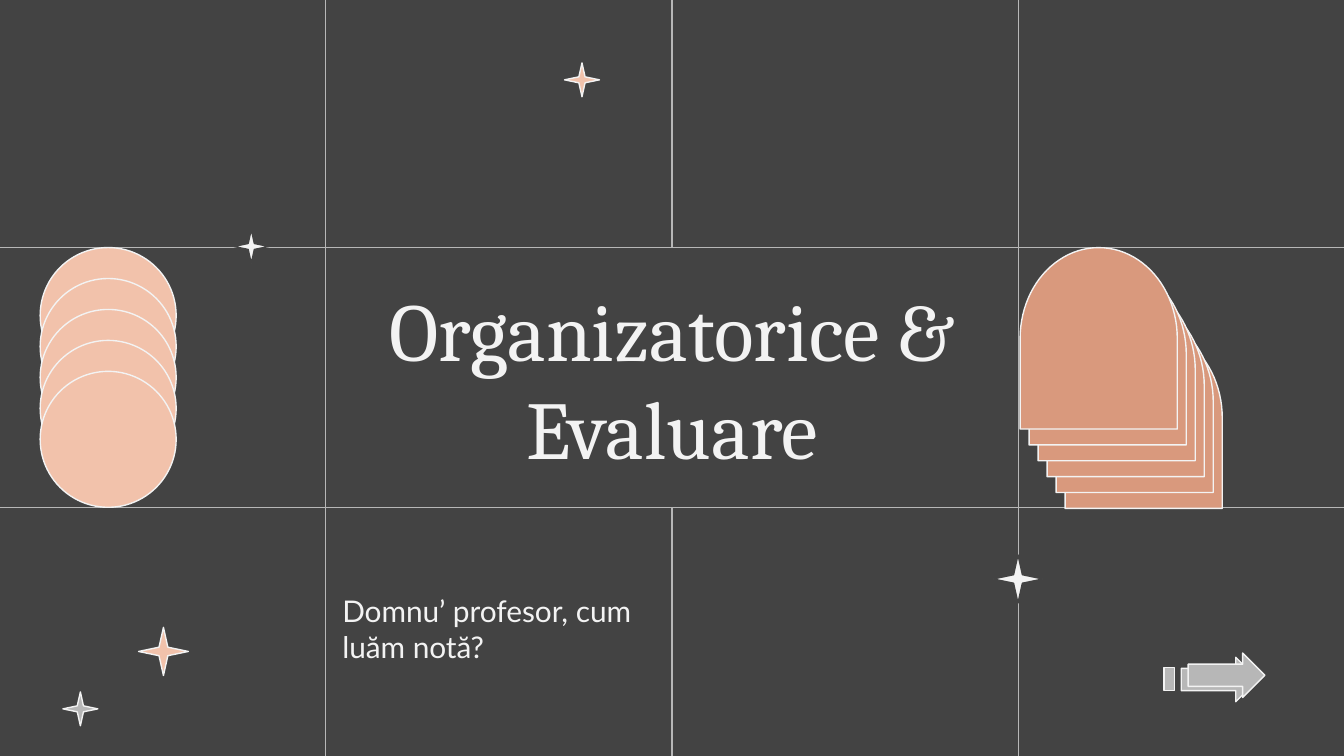
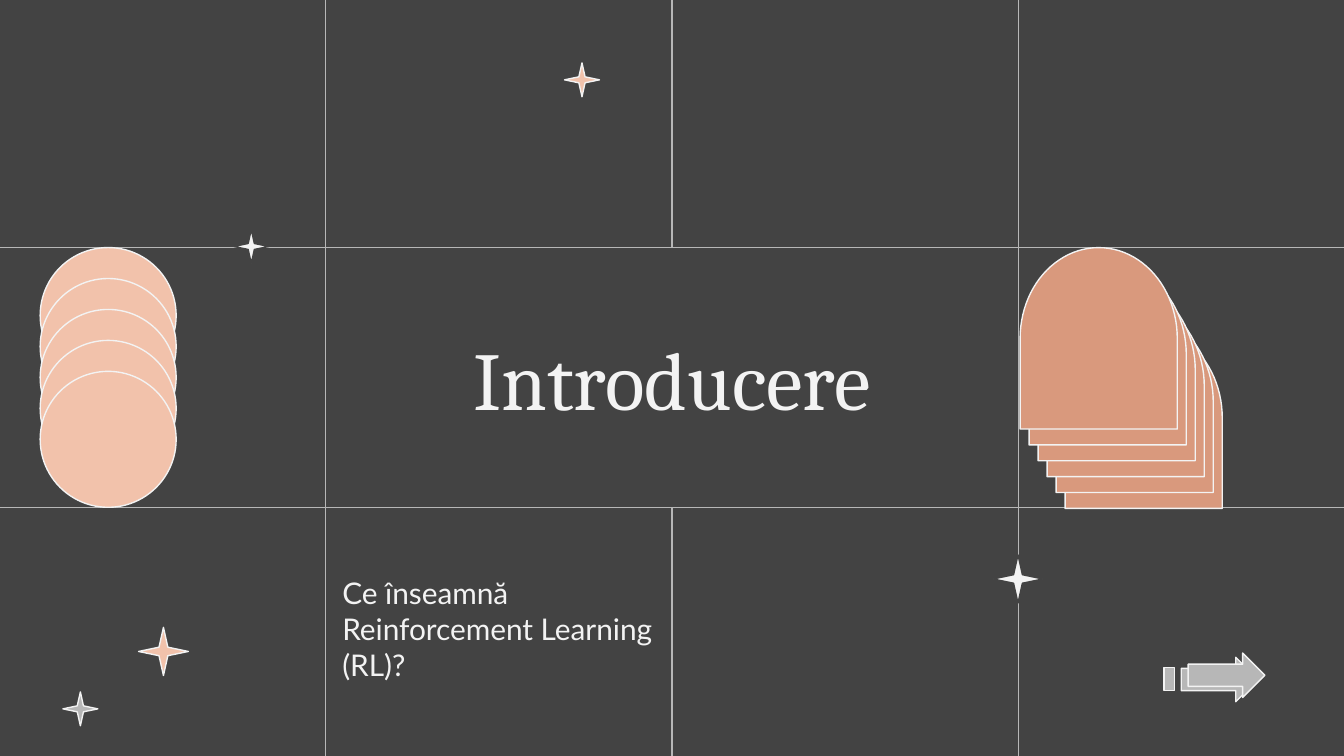
from dataclasses import dataclass

import pptx
import pptx.dml.color
import pptx.enum.shapes
import pptx.enum.text
import pptx.oxml
import pptx.oxml.ns
import pptx.util
from pptx.shapes.autoshape import Shape
from pptx.slide import Slide
from pptx.util import Cm

KIND = pptx.enum.shapes.MSO_SHAPE
ALIGN = pptx.enum.text.PP_ALIGN


# Colours and type
@dataclass(frozen=True)
class Theme:
    dark: str = "434343"
    grey: str = "B7B7B7"
    white: str = "F3F3F3"
    peach: str = "F2C2AB"
    clay: str = "D9997D"
    serif: str = "Cambria"
    sans: str = "Lato"
    head: int = 44
    body: int = 16
    line: float = 0.75


THEME = Theme()


# Lengths in centimetres
@dataclass(frozen=True)
class Box:
    left: float
    top: float
    width: float
    height: float

    def lengths(self) -> tuple[Cm, Cm, Cm, Cm]:
        return Cm(self.left), Cm(self.top), Cm(self.width), Cm(self.height)


@dataclass(frozen=True)
class Item:
    kind: KIND
    box: Box
    fill: str
    line: str = THEME.white
    turn: int = 0


@dataclass(frozen=True)
class Page:
    title: str
    note: str


WIDE, HIGH = 25.4, 14.29
COLS = (6.15, 12.7, 19.25)
ROWS = (4.68, 9.59)
TITLE = Box(COLS[0], ROWS[0], COLS[2] - COLS[0], ROWS[1] - ROWS[0])
NOTE = Box(6.22, 11.07, 6.38, 1.63)
INSET = 0.25


def star(left: float, top: float, fill: str, big: bool = False,
         line: str = THEME.white) -> Item:
    size = (0.94, 0.91) if big else (0.66, 0.64)
    return Item(KIND.STAR_4_POINT, Box(left, top, *size), fill, line)


def arrow(left: float, top: float) -> Item:
    return Item(KIND.UP_ARROW, Box(left, top, 0.84, 1.45), THEME.grey, turn=90)


# Decor behind the text
BACK = (
    star(2.62, 11.86, THEME.peach, big=True),
    star(1.19, 13.08, THEME.grey),
    arrow(22.63, 12.12),
    Item(KIND.RECTANGLE, Box(22, 12.62, 0.2, 0.43), THEME.grey),
    arrow(22.76, 12.04),
)

# Decor in front: stars, stacked arches, stacked discs
DISCS, DISC = 5, 2.57
DROP = (TITLE.height - DISC) / (DISCS - 1)
FRONT = (
    star(4.42, 4.34, THEME.white, line=THEME.dark),
    star(18.77, 10.49, THEME.white, big=True, line=THEME.dark),
    *(Item(KIND.FLOWCHART_DELAY,
           Box(19.05 + 0.17 * i, 4.91 + 0.3 * i, 3.43, 2.97),
           THEME.clay, turn=270)
      for i in reversed(range(6))),
    *(Item(KIND.OVAL, Box(0.76, ROWS[0] + DROP * i, DISC, DISC), THEME.peach)
      for i in range(DISCS)),
    star(10.67, 1.19, THEME.peach),
)

PAGES = (
    Page("Organizatorice & Evaluare", "Domnu’ profesor, cum luăm notă?"),
    Page("Introducere", "Ce înseamnă Reinforcement Learning (RL)?"),
)


def paint(fill: pptx.dml.fill.FillFormat, tone: str) -> None:
    fill.solid()
    fill.fore_color.rgb = pptx.dml.color.RGBColor.from_string(tone)


def stroke(line: pptx.dml.line.LineFormat, tone: str) -> None:
    paint(line.fill, tone)
    line.width = pptx.util.Pt(THEME.line)


def draw(slide: Slide, item: Item) -> None:
    shape = slide.shapes.add_shape(item.kind, *item.box.lengths())
    shape.shadow.inherit = False
    shape.rotation = item.turn
    paint(shape.fill, item.fill)
    stroke(shape.line, item.line)
    if item.kind == KIND.STAR_4_POINT:
        shape.adjustments[0] = 0.125


def rule(slide: Slide, x1: float, y1: float, x2: float, y2: float) -> None:
    line = slide.shapes.add_connector(
        pptx.enum.shapes.MSO_CONNECTOR.STRAIGHT, Cm(x1), Cm(y1), Cm(x2), Cm(y2))
    stroke(line.line, THEME.grey)
    props = line._element.spPr
    props.append(pptx.oxml.parse_xml(
        f'<a:effectLst {pptx.oxml.ns.nsdecls("a")}/>'))


def write(shape: Shape, text: str, face: str, size: int, align: ALIGN,
          after: int = 0) -> None:
    paint(shape.fill, THEME.dark)
    frame = shape.text_frame
    frame.text = text
    frame.word_wrap = True
    frame.auto_size = pptx.enum.text.MSO_AUTO_SIZE.NONE
    frame.vertical_anchor = pptx.enum.text.MSO_ANCHOR.MIDDLE
    frame.margin_left = frame.margin_right = Cm(INSET)
    frame.margin_top = frame.margin_bottom = Cm(INSET)
    para = frame.paragraphs[0]
    para.alignment = align
    para.space_after = pptx.util.Pt(after)
    para.font.name = face
    para.font.size = pptx.util.Pt(size)
    paint(para.font.fill, THEME.white)


def build(deck: pptx.presentation.Presentation, page: Page) -> None:
    slide = deck.slides.add_slide(deck.slide_layouts[5])

    # Grid and rear decor
    for x in COLS:
        rule(slide, x, 0, x, HIGH)
    for y in ROWS:
        rule(slide, 0, y, WIDE, y)
    for item in BACK:
        draw(slide, item)

    # Title, raised above the grid
    title = slide.shapes.title
    title.left, title.top, title.width, title.height = TITLE.lengths()
    write(title, page.title, THEME.serif, THEME.head, ALIGN.CENTER)
    stroke(title.line, THEME.grey)
    slide.shapes._spTree.append(title._element)

    # Question below the title
    note = slide.shapes.add_textbox(*NOTE.lengths())
    write(note, page.note, THEME.sans, THEME.body, ALIGN.LEFT, after=12)

    for item in FRONT:
        draw(slide, item)


def main() -> None:
    deck = pptx.Presentation()
    deck.slide_width, deck.slide_height = Cm(WIDE), Cm(HIGH)
    paint(deck.slide_master.background.fill, THEME.dark)
    for page in PAGES:
        build(deck, page)
    deck.save("out.pptx")


if __name__ == "__main__":
    main()
